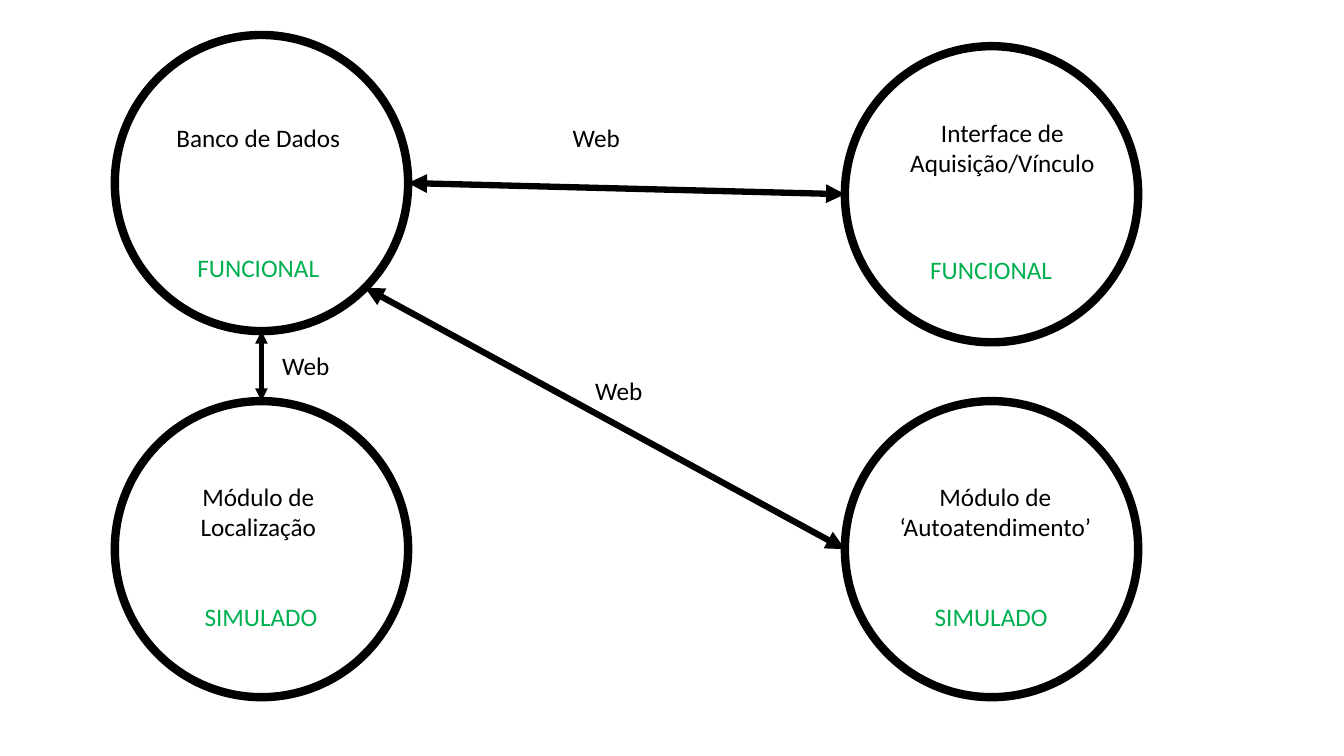
from dataclasses import dataclass
from math import cos, radians, sin

from lxml import etree
from pptx import Presentation
from pptx.dml.color import RGBColor
from pptx.enum.shapes import MSO_CONNECTOR, MSO_SHAPE
from pptx.enum.text import MSO_AUTO_SIZE, PP_ALIGN
from pptx.oxml.ns import qn
from pptx.util import Pt

ELLIPSE = MSO_SHAPE.OVAL
STRAIGHT = MSO_CONNECTOR.STRAIGHT
CENTER, LEFT = PP_ALIGN.CENTER, PP_ALIGN.LEFT
FIT_SHAPE = MSO_AUTO_SIZE.SHAPE_TO_FIT_TEXT
BLANK_LAYOUT = 6


@dataclass(frozen=True)
class Theme:
    font: str = "Calibri"
    text_size: float = 18
    ink: RGBColor = RGBColor(0x00, 0x00, 0x00)
    paper: RGBColor = RGBColor(0xFF, 0xFF, 0xFF)
    status: RGBColor = RGBColor(0x00, 0xB0, 0x50)
    ring: float = 6


THEME = Theme()
PAGE_W, PAGE_H = 960, 540
CIRCLE_W, CIRCLE_H = 209.5, 211.5
LEFT_COLUMN, RIGHT_COLUMN, BOTTOM_ROW = 82, 603.5, 286.5
ONE_LINE, TWO_LINES = 29, 51
STATUS_W, WEB_W = 133, 58

# Circle left and top by module
MODULES = {
    "database": (LEFT_COLUMN, 25),
    "location": (LEFT_COLUMN, BOTTOM_ROW),
    "interface": (RIGHT_COLUMN, 33),
    "self_service": (RIGHT_COLUMN, BOTTOM_ROW),
}

# Module and angle (clockwise from the right) at each end, line width
LINKS = [
    (("database", 45), ("self_service", 180), 4.5),
    (("database", 0), ("interface", 180), 4.5),
    (("location", 270), ("database", 90), 3),
]

# Text, left, top, width, height
NAMES = [
    ("Banco de Dados", 118, 84, 133, ONE_LINE),
    ("Módulo de Localização", 118, 340, 133, TWO_LINES),
    ("Interface de Aquisição/Vínculo", 641.5, 80, 149, TWO_LINES),
    ("Módulo de ‘Autoatendimento’", 632, 340, 158, TWO_LINES),
]
STATUSES = [
    ("FUNCIONAL", 118, 176.5),
    ("FUNCIONAL", 641.5, 178),
    ("SIMULADO", 120, 426),
    ("SIMULADO", 641.5, 426),
]
WEB_LABELS = [(402, 84), (418, 264.5), (194.5, 247)]


def add_circle(page, left, top):
    circle = page.shapes.add_shape(
        ELLIPSE, Pt(left), Pt(top), Pt(CIRCLE_W), Pt(CIRCLE_H))
    circle.shadow.inherit = False
    circle.fill.solid()
    circle.fill.fore_color.rgb = THEME.paper
    circle.line.color.rgb = THEME.ink
    circle.line.width = Pt(THEME.ring)


def rim_point(module, angle):
    """Return the point on a module's circle at an angle in degrees."""
    left, top = MODULES[module]
    turn = radians(angle)
    return (Pt(left + CIRCLE_W / 2 * (1 + cos(turn))),
            Pt(top + CIRCLE_H / 2 * (1 + sin(turn))))


def add_double_arrow(page, start, end, width):
    arrow = page.shapes.add_connector(
        STRAIGHT, *rim_point(*start), *rim_point(*end))
    arrow.line.color.rgb = THEME.ink
    arrow.line.width = Pt(width)
    properties = arrow._element.spPr
    outline = properties.find(qn("a:ln"))
    for tag in ("a:headEnd", "a:tailEnd"):
        etree.SubElement(outline, qn(tag), type="triangle")
    etree.SubElement(properties, qn("a:effectLst"))


def add_label(page, text, left, top, width, height,
              color=THEME.ink, align=CENTER):
    box = page.shapes.add_textbox(Pt(left), Pt(top), Pt(width), Pt(height))
    frame = box.text_frame
    frame.word_wrap = True
    frame.auto_size = FIT_SHAPE
    frame.text = text
    para = frame.paragraphs[0]
    para.alignment = align
    font = para.runs[0].font
    font.name = THEME.font
    font.size = Pt(THEME.text_size)
    font.color.rgb = color


def main():
    deck = Presentation()
    deck.slide_width, deck.slide_height = Pt(PAGE_W), Pt(PAGE_H)
    page = deck.slides.add_slide(deck.slide_layouts[BLANK_LAYOUT])
    for left, top in MODULES.values():
        add_circle(page, left, top)
    for start, end, width in LINKS:
        add_double_arrow(page, start, end, width)
    for name in NAMES:
        add_label(page, *name)
    for text, left, top in STATUSES:
        add_label(page, text, left, top, STATUS_W, ONE_LINE, THEME.status)
    for left, top in WEB_LABELS:
        add_label(page, "Web", left, top, WEB_W, ONE_LINE, align=LEFT)
    deck.save("out.pptx")


if __name__ == "__main__":
    main()
